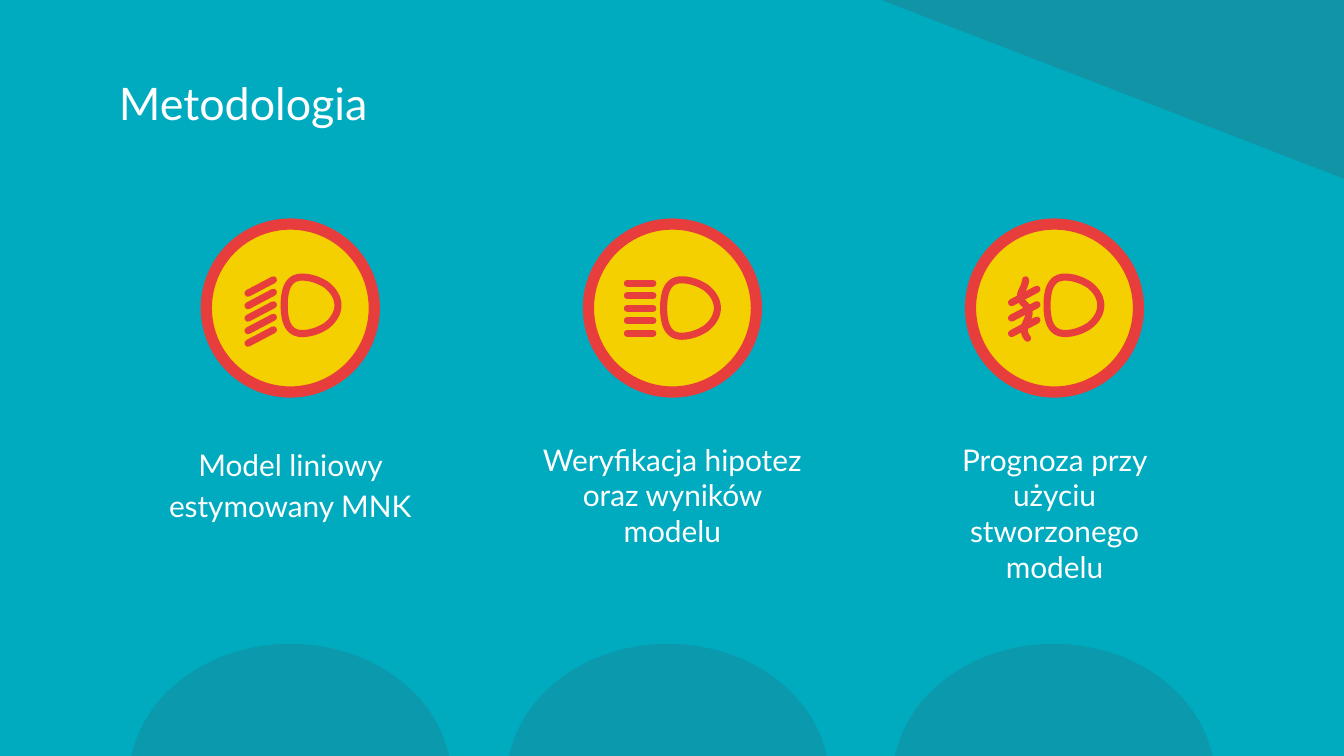
"""Build the Metodologia slide: three lamp icons with captions."""
from lxml.etree import SubElement
from pptx import Presentation
from pptx.dml.color import RGBColor
from pptx.enum.shapes import MSO_CONNECTOR as Link, MSO_SHAPE as Kind
from pptx.enum.text import MSO_ANCHOR as Anchor, PP_ALIGN as Align
from pptx.oxml.ns import qn
from pptx.util import Inches, Pt

TEAL = RGBColor(0x00, 0xAB, 0xBF)
SLATE = RGBColor(0x33, 0x65, 0x74)
GOLD = RGBColor(0xF4, 0xD0, 0x00)
RED = RGBColor(0xE8, 0x3D, 0x3D)
WHITE = RGBColor(0xFF, 0xFF, 0xFF)

deck = Presentation()
deck.slide_width = Inches(10)
deck.slide_height = deck.slide_width * 9 // 16
unit = deck.slide_width // 100
slide = deck.slides.add_slide(deck.slide_layouts[6])
slide.background.fill.solid()
slide.background.fill.fore_color.rgb = TEAL
shapes = slide.shapes


def write(text, box, size=16, align=Align.CENTER, anchor=Anchor.TOP, space=None, after=None):
    frame = shapes.add_textbox(*[int(v * unit) for v in box]).text_frame
    frame.word_wrap = True
    frame.vertical_anchor = anchor
    frame.margin_left = frame.margin_right = unit
    frame.margin_top = frame.margin_bottom = unit
    para = frame.paragraphs[0]
    para.alignment, para.line_spacing, para.space_after = align, space, after
    run = para.add_run()
    run.text = text
    run.font.name, run.font.size = "Lato", Pt(size)
    run.font.color.rgb = WHITE


def trace(points, left, top, close=False):
    path = []
    for i in range(0, len(points) - 1, 3):
        a, b, c, d = points[i:i + 4]
        for t in [n / 12 for n in range(13)]:
            s = 1 - t
            path.append([s**3 * p + 3 * s * s * t * q + 3 * s * t * t * u + t**3 * v
                         for p, q, u, v in zip(a, b, c, d)])
    path = [((left + x) * unit, (top + y) * unit) for x, y in path]
    form = shapes.build_freeform(*path[0])
    form.add_line_segments(path[1:], close=close)
    shape = form.convert_to_shape()
    shape.fill.background()
    shape.shadow.inherit = False
    return shape


decor = [(Kind.OVAL, x, 47.9, 24, 20.2, 23) for x in (9.6, 37.7, 66.4)]
decor.append((Kind.RIGHT_TRIANGLE, 65.6, 0, 34.4, 13.3, 32))
for kind, *box, alpha in decor:
    shape = shapes.add_shape(kind, *[int(v * unit) for v in box])
    shape.rotation = 180 if kind == Kind.RIGHT_TRIANGLE else 0
    shape.shadow.inherit = False
    shape.line.fill.background()
    shape.fill.solid()
    shape.fill.fore_color.rgb = SLATE
    tint = shape.fill._xPr.find(".//" + qn("a:srgbClr"))
    SubElement(tint, qn("a:alpha")).set("val", str(alpha * 1000))

write("Metodologia", (7.87, 4.5, 84.4, 6.3), size=24, align=Align.LEFT, anchor=Anchor.MIDDLE)

LAMP = [(0.7, -2.1), (1.25, -2.1), (1.9, -1.9), (2.45, -1.55),
        (3.05, -1.1), (3.35, -0.55), (3.35, 0),
        (3.35, 0.55), (3.05, 1.1), (2.45, 1.55),
        (1.9, 1.9), (1.25, 2.1), (0.7, 2.1),
        (-0.1, 2.1), (-0.65, 1.6), (-0.65, 0),
        (-0.65, -1.6), (-0.1, -2.1), (0.7, -2.1)]
WAVE = [(-2.15, -2.1), (-2.15, -1.45), (-2.85, -1.05), (-2.35, -0.4),
        (-1.65, 0.2), (-1.9, 0.6), (-2.1, 1.05),
        (-2.35, 1.55), (-2.25, 1.95), (-2, 2.25)]
MID, GAP, DISC = 22.92, 28.43, 12.5

icons = [
    ("Model liniowy estymowany MNK", 21.3, 4.7, (0.2, -0.2), (-3.15, -1.1), 1, 5, 0.93,
     dict(space=1.15, after=Pt(16))),
    ("Weryfikacja hipotez oraz wyników modelu", 21.3, 13.4, (0, 0), (-3.35, -1.85), 0, 5, 0.93, {}),
    ("Prognoza przy użyciu stworzonego modelu", 20.9, 4.7, (0.1, -0.2), (-3.2, -0.4), 1, 3, 1.15, {}),
]
for col, (text, wide, tall, shift, ray, rise, count, step, style) in enumerate(icons):
    x = 50.03 + (col - 1) * GAP
    disc = shapes.add_shape(Kind.OVAL, *[int(v * unit) for v in (
        x - DISC / 2, MID - DISC / 2, DISC, DISC)])
    disc.shadow.inherit = False
    disc.fill.solid()
    disc.fill.fore_color.rgb = GOLD
    disc.line.color.rgb, disc.line.width = RED, Pt(6)

    strokes = [trace(LAMP, x + shift[0], MID + shift[1], close=True)]
    for row in range(count):
        left, top = x + ray[0], MID + ray[1] + row * step
        strokes.append(shapes.add_connector(Link.STRAIGHT, *[int(v * unit) for v in (
            left, top, left + 1.9, top - rise)]))
    if count == 3:
        strokes.append(trace(WAVE, x, MID))
    for stroke in strokes:
        stroke.line.color.rgb, stroke.line.width = RED, Pt(3.8)
        stroke.line._get_or_add_ln().set("cap", "rnd")
        props = stroke._element.spPr
        if props.find(qn("a:effectLst")) is None:
            SubElement(props, qn("a:effectLst"))

    write(text, (x - wide / 2, 31.83, wide, tall), **style)

deck.save("out.pptx")
